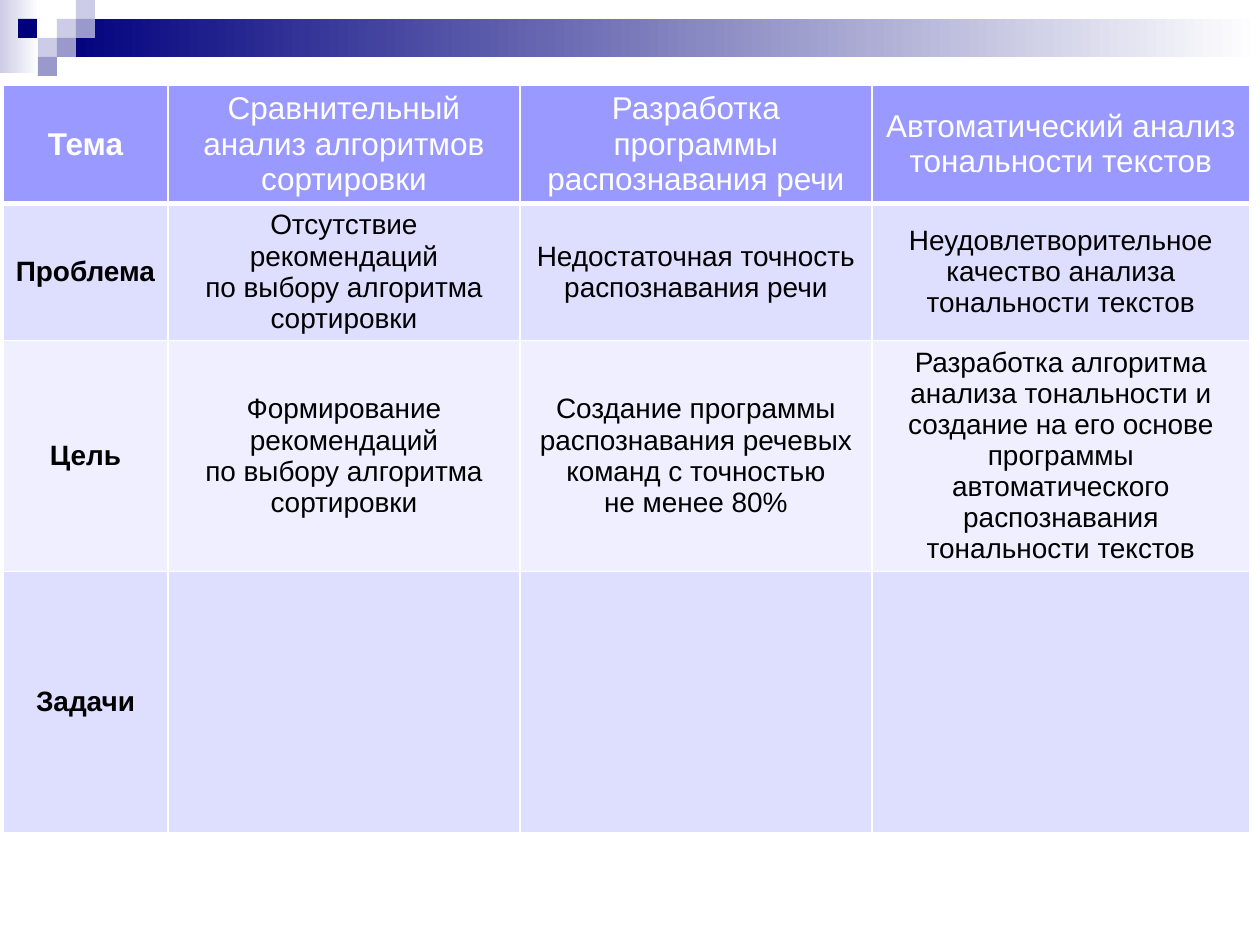
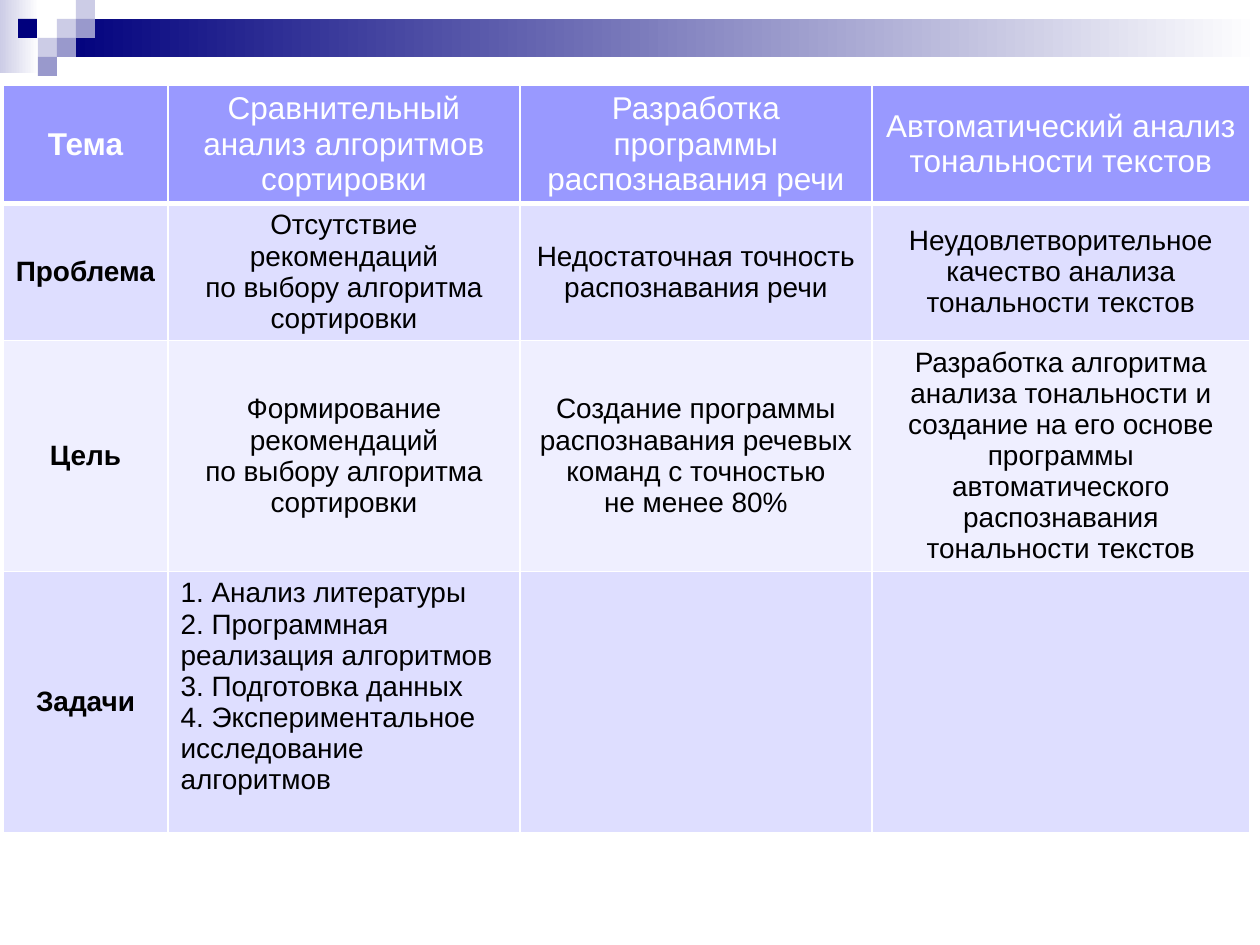
from lxml import etree
from pptx import Presentation
from pptx import util as u
from pptx.dml.color import RGBColor
from pptx.enum import shapes, text
from pptx.oxml import ns

PX = 914400 // 126
WIDE, HIGH = 1260, 945
FONT = "Arial"
NAVY, LILAC, SLATE, WHITE = "00007D", "CCCCE6", "9999CC", "FFFFFF"
HEAD, ODD, EVEN = "9999FF", "DEDEFF", "EFEFFF"

# Corner squares: left, top, colour
TILE = 19
TILES = [
    (57, 19, LILAC), (76, 0, LILAC), (76, 19, SLATE), (38, 38, LILAC),
    (18, 19, NAVY), (57, 38, SLATE), (38, 57, SLATE),
]

COLS = [165, 352, 352, 378]
ROWS = [117, 137, 231, 261]
TOPICS = [
    ["Тема", "Сравнительный анализ алгоритмов сортировки",
     "Разработка программы распознавания речи",
     "Автоматический анализ тональности текстов"],
    ["Проблема", "Отсутствие рекомендаций\vпо выбору алгоритма сортировки",
     "Недостаточная точность распознавания речи",
     "Неудовлетворительное качество анализа тональности текстов"],
    ["Цель", "Формирование рекомендаций\vпо выбору алгоритма сортировки",
     "Создание программы распознавания речевых команд с точностью"
     "\vне менее 80%",
     "Разработка алгоритма анализа тональности и создание на его основе "
     "программы автоматического распознавания тональности текстов"],
]
TASKS = "\n".join([
    "1. Анализ литературы",
    "2. Программная реализация алгоритмов",
    "3. Подготовка данных",
    "4. Экспериментальное исследование алгоритмов",
])


def px(n):
    return u.Emu(n * PX)


def color(code):
    return RGBColor.from_string(code)


def add_rect(slide, x, y, w, h, *tones):
    """Rectangle with a plain fill, or a left-to-right fade of two tones."""
    box = slide.shapes.add_shape(
        shapes.MSO_SHAPE.RECTANGLE, px(x), px(y), px(w), px(h))
    box.shadow.inherit = False
    box.line.fill.background()
    if len(tones) == 1:
        box.fill.solid()
        box.fill.fore_color.rgb = color(tones[0])
    else:
        box.fill.gradient()
        box.fill.gradient_angle = 0
        for stop, tone, pos in zip(box.fill.gradient_stops, tones, (0, 1)):
            stop.color.rgb = color(tone)
            stop.position = pos


def add_band(slide):
    add_rect(slide, 0, 0, 39, 73, LILAC, WHITE)
    add_rect(slide, 57, 19, WIDE - 57, 38, NAVY, WHITE)
    for x, y, tone in TILES:
        add_rect(slide, x, y, TILE, TILE, tone)


def set_edges(cell, top, bottom):
    """White cell borders, widths in points."""
    props = cell._tc.get_or_add_tcPr()
    edges = [("lnL", 1), ("lnR", 1), ("lnT", top), ("lnB", bottom)]
    for spot, (tag, width) in enumerate(edges):
        line = etree.Element(ns.qn("a:" + tag), w=str(u.Pt(width)))
        fill = etree.SubElement(line, ns.qn("a:solidFill"))
        etree.SubElement(fill, ns.qn("a:srgbClr"), val=WHITE)
        props.insert(spot, line)


def fill_cell(cell, words, row, col):
    is_head = row == 0
    is_list = row == 3 and col > 0
    cell.fill.solid()
    cell.fill.fore_color.rgb = color(HEAD if is_head else ODD if row % 2 else EVEN)
    set_edges(cell, 3 if row == 1 else 1, 3 if is_head else 1)
    if not words:
        return
    cell.text = words
    anchor, align = text.MSO_ANCHOR, text.PP_ALIGN
    cell.vertical_anchor = anchor.TOP if is_list else anchor.MIDDLE
    for para in cell.text_frame.paragraphs:
        para.alignment = align.LEFT if is_list else align.CENTER
        font = para.font
        font.name, font.bold = FONT, col == 0
        font.size = u.Pt(18 if is_head else 16)
        font.color.rgb = color(WHITE if is_head else "000000")


def add_grid(slide, rows):
    grid = slide.shapes.add_table(
        len(ROWS), len(COLS), px(3), px(85), px(sum(COLS)), px(sum(ROWS))).table
    for part, size in zip(grid.columns, COLS):
        part.width = px(size)
    for part, size in zip(grid.rows, ROWS):
        part.height = px(size)
    for row, line in enumerate(rows):
        for col, words in enumerate(line):
            fill_cell(grid.cell(row, col), words, row, col)


def main():
    deck = Presentation()
    deck.slide_width, deck.slide_height = px(WIDE), px(HIGH)
    # The tasks are empty at first, then filled in for the first topic
    for tasks in ("", TASKS):
        slide = deck.slides.add_slide(deck.slide_layouts[6])
        add_band(slide)
        add_grid(slide, TOPICS + [["Задачи", tasks, "", ""]])
    deck.save("out.pptx")


if __name__ == "__main__":
    main()
